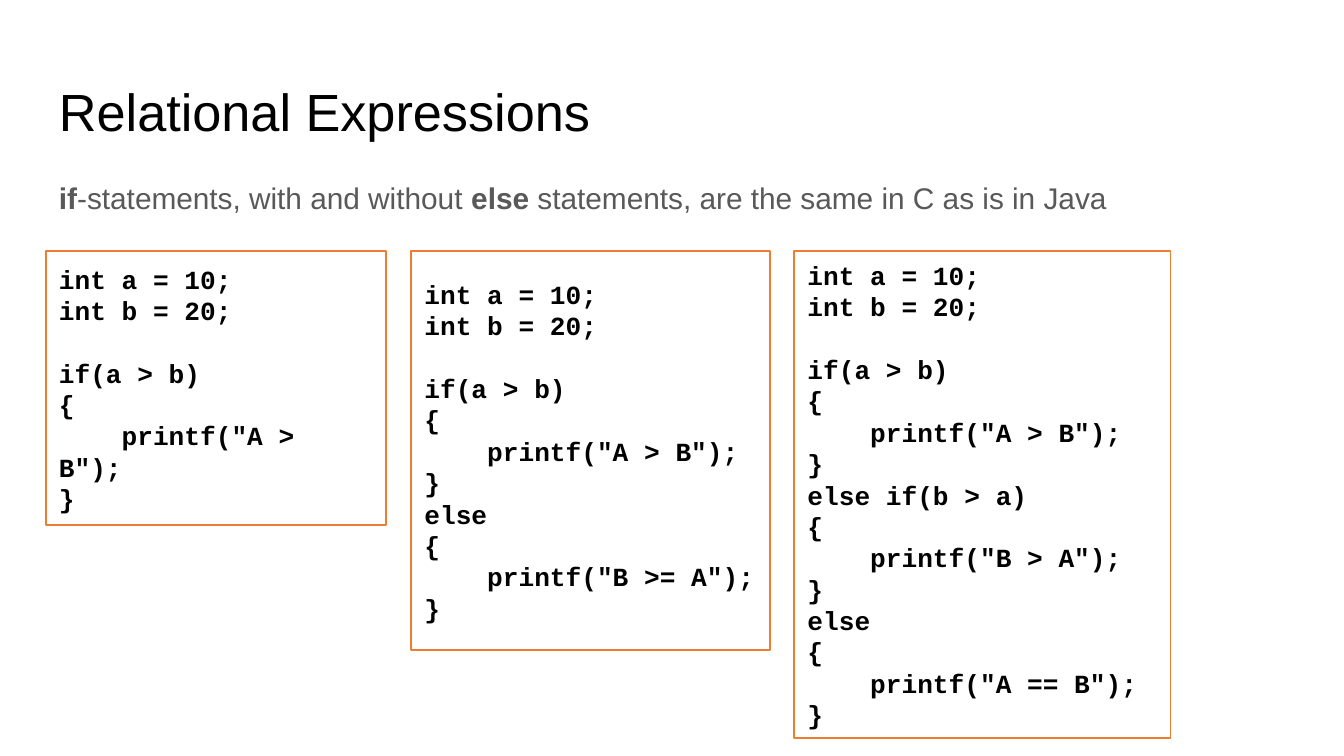
from pptx import Presentation
from pptx.dml.color import RGBColor
from pptx.enum.shapes import MSO_SHAPE
from pptx.enum.text import MSO_ANCHOR, PP_ALIGN
from pptx.util import Inches, Pt


def color(code):
    return RGBColor.from_string(code)


def write(para, text, size=14, font="Arial", ink="000000", bold=False):
    run = para.add_run()
    run.text = text
    run.font.size = Pt(size)
    run.font.name = font
    run.font.bold = bold
    run.font.color.rgb = color(ink)


# Widescreen, 16 to 9
deck = Presentation()
deck.slide_width = Inches(10)
deck.slide_height = Inches(10) * 9 // 16
slide = deck.slides.add_slide(deck.slide_layouts[6])

# Title and statement
heads = [
    (0.49, 0.63, 28, "000000", 1, [("Relational Expressions", False)]),
    (1.2, 0.68, 16, "595959", 1.15, [
        ("if", True),
        ("-statements, with and without ", False),
        ("else ", True),
        ("statements, are the same in C as is in Java", False),
    ]),
]
for top, height, size, ink, spacing, parts in heads:
    box = slide.shapes.add_textbox(Inches(0.34), Inches(top), Inches(9.32), Inches(height))
    frame = box.text_frame
    frame.word_wrap = True
    frame.margin_left = frame.margin_right = Inches(0.1)
    frame.margin_top = frame.margin_bottom = Inches(0.1)
    para = frame.paragraphs[0]
    para.line_spacing = spacing
    for text, bold in parts:
        write(para, text, size=size, ink=ink, bold=bold)

# Code boxes: each opens with the same test and adds its own branches
opening = ["int a = 10;", "int b = 20;", "if(a > b)"]
panels = [
    (0.34, 2.53, 2.04, [("A > B", None)]),
    (3.06, 2.67, 2.97, [("A > B", "else"), ("B >= A", None)]),
    (5.91, 2.8, 3.62, [("A > B", "else if(b > a)"), ("B > A", "else"), ("A == B", None)]),
]
for left, width, height, branches in panels:
    lines = list(opening)
    for output, follow in branches:
        lines += ["{", f'    printf("{output}");', "}"]
        if follow:
            lines.append(follow)

    panel = slide.shapes.add_shape(
        MSO_SHAPE.RECTANGLE, Inches(left), Inches(1.87), Inches(width), Inches(height))
    panel.shadow.inherit = False
    panel.fill.background()
    panel.line.color.rgb = color("ED7D31")
    panel.line.width = Pt(1)
    frame = panel.text_frame
    frame.word_wrap = True
    frame.vertical_anchor = MSO_ANCHOR.MIDDLE
    for index, line in enumerate(lines):
        para = frame.add_paragraph() if index else frame.paragraphs[0]
        para.alignment = PP_ALIGN.LEFT
        if line == "if(a > b)":
            para.space_before = Pt(16.8)
        write(para, line, font="Courier New", bold=True)

deck.save("out.pptx")
